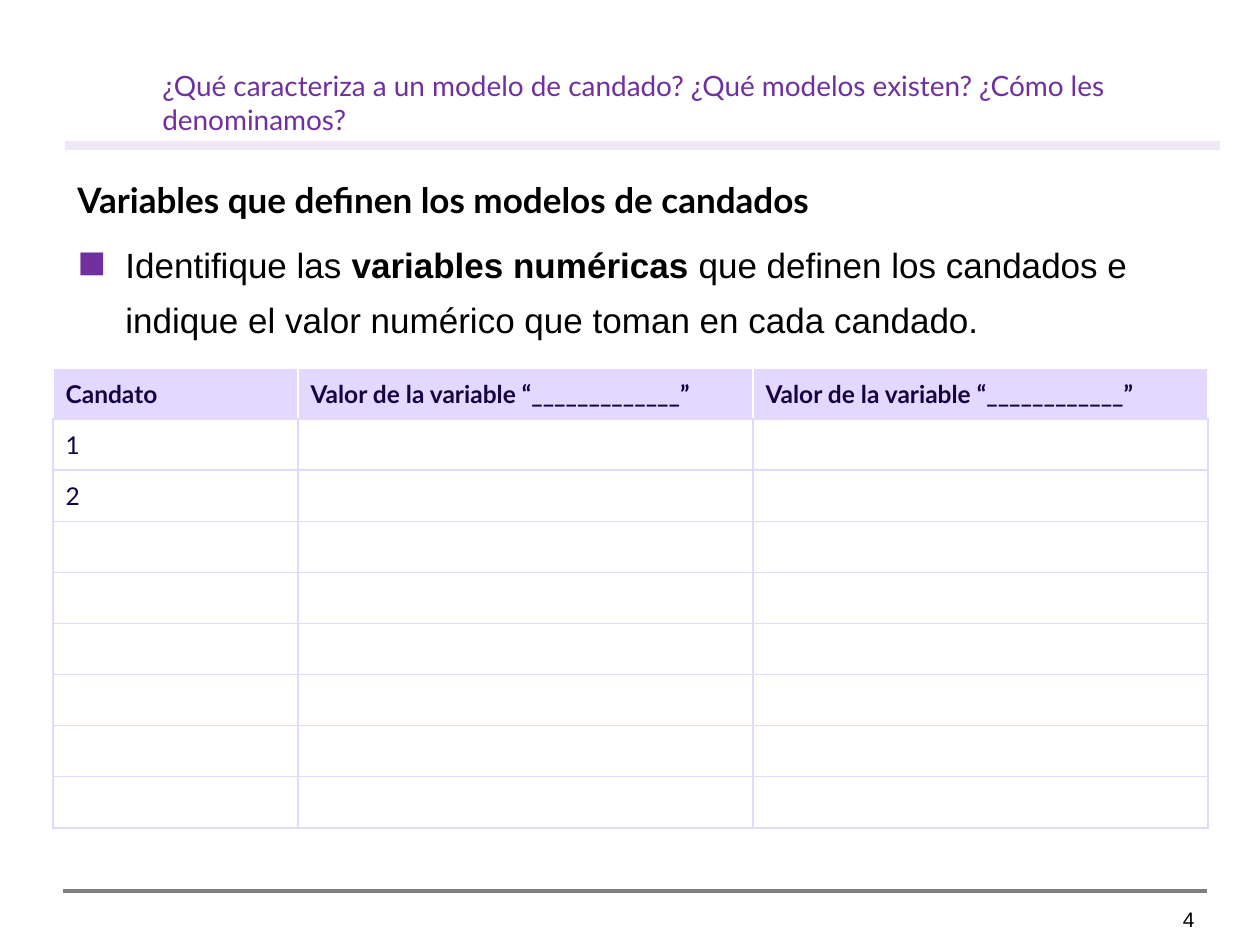
import pptx
import pptx.dml.color
import pptx.enum.shapes
import pptx.enum.text
import pptx.oxml.ns
import pptx.util
from lxml import etree

RGBColor = pptx.dml.color.RGBColor
ALIGN = pptx.enum.text.PP_ALIGN
ANCHOR = pptx.enum.text.MSO_ANCHOR
qn = pptx.oxml.ns.qn

PURPLE = RGBColor(0x70, 0x30, 0xA0)
LILAC = RGBColor(0xE3, 0xD8, 0xFD)
INDIGO = RGBColor(0x15, 0x03, 0x43)
GRAY = RGBColor(0x7F, 0x7F, 0x7F)
BLACK = RGBColor(0, 0, 0)
WHITE = RGBColor(0xFF, 0xFF, 0xFF)

EMU_PER_PX = 914400 / 126


def px(length):
    return pptx.util.Emu(round(length * EMU_PER_PX))


def add_color(parent, color, alpha=None):
    node = etree.SubElement(parent, qn("a:srgbClr"), val=str(color))
    if alpha is not None:
        etree.SubElement(node, qn("a:alpha"), val=str(alpha * 1000))


def write(para, text, font="Lato", size=14, color=BLACK, bold=False):
    span = para.add_run()
    span.text = text
    span.font.name = font
    span.font.size = pptx.util.Pt(size)
    span.font.color.rgb = color
    span.font.bold = bold


def add_box(page, left, top, width, height, anchor=ANCHOR.TOP):
    box = page.shapes.add_textbox(px(left), px(top), px(width), px(height))
    box.text_frame.word_wrap = True
    box.text_frame.vertical_anchor = anchor
    return box.text_frame


def add_bullet(para, indent):
    props = para._p.get_or_add_pPr()
    props.set("marL", str(px(indent)))
    props.set("indent", str(px(-indent)))
    add_color(etree.SubElement(props, qn("a:buClr")), PURPLE)
    etree.SubElement(props, qn("a:buChar"), char="◼")


def add_header(page, left, top, width, height):
    """Title, indented from the left, above a translucent bar."""
    title = add_box(page, left + 85, top, width - 85, height - 8, ANCHOR.BOTTOM)
    write(title.paragraphs[0],
          "¿Qué caracteriza a un modelo de candado? ¿Qué modelos existen? "
          "¿Cómo les denominamos?", size=16, color=PURPLE)
    bar = page.shapes.add_shape(pptx.enum.shapes.MSO_SHAPE.RECTANGLE,
                                px(left), px(top + height - 9), px(width), px(9))
    bar.shadow.inherit = False
    bar.line.fill.background()
    bar.fill.solid()
    bar.fill.fore_color.rgb = PURPLE
    fill = bar._element.spPr.find(qn("a:solidFill"))
    fill.clear()
    add_color(fill, PURPLE, alpha=10)


def add_body(page, left, top, width, height):
    body = add_box(page, left, top, width, height)
    heading, task = body.paragraphs[0], body.add_paragraph()
    heading.line_spacing = task.line_spacing = 1.3
    write(heading, "Variables que definen los modelos de candados", size=20, bold=True)
    task.space_before = pptx.util.Pt(6)
    add_bullet(task, 48)
    for text, bold in (
        ("Identifique las ", False),
        ("variables numéricas ", True),
        ("que definen los candados e indique el valor numérico "
         "que toman en cada candado.", False),
    ):
        write(task, text, font="Arial", size=20, bold=bold)


def format_cell(cell, fill, edge):
    """Give the cell a fill, lilac at the bottom and the edge colour elsewhere."""
    props = cell._tc.get_or_add_tcPr()
    for side, color in (("L", edge), ("R", edge), ("T", edge), ("B", LILAC)):
        line = etree.SubElement(props, qn(f"a:ln{side}"), w=str(pptx.util.Pt(1)))
        add_color(etree.SubElement(line, qn("a:solidFill")), color)
    cell.fill.solid()
    cell.fill.fore_color.rgb = fill
    cell.vertical_anchor = ANCHOR.MIDDLE


def add_value_table(page, left, top, width, height):
    header = ("Candato", "Valor de la variable “_____________”",
              "Valor de la variable “____________”")
    numbers = ("1", "2")
    row_count = 9
    table = page.shapes.add_table(row_count, len(header), px(left), px(top),
                                  px(width), px(height)).table
    first_width = 245
    for index, column in enumerate(table.columns):
        column.width = px((width - first_width) / 2 if index else first_width)
    for index, row in enumerate(table.rows):
        row.height = px(height / row_count)
        is_header = index == 0
        for cell in row.cells:
            format_cell(cell, LILAC if is_header else WHITE,
                        WHITE if is_header else LILAC)
    for column, text in enumerate(header):
        write(table.cell(0, column).text_frame.paragraphs[0], text,
              color=INDIGO, bold=True)
    for row, text in enumerate(numbers, start=1):
        write(table.cell(row, 0).text_frame.paragraphs[0], text, color=INDIGO)


def add_footer(page, left, top, width, height):
    """Rule with the page number below its right end."""
    right = left + width
    rule = page.shapes.add_connector(pptx.enum.shapes.MSO_CONNECTOR.STRAIGHT,
                                     px(left), px(top), px(right), px(top))
    rule.line.color.rgb = GRAY
    rule.line.width = pptx.util.Pt(2)
    etree.SubElement(rule._element.spPr, qn("a:effectLst"))
    number = add_box(page, right - 97, top + 9, 97, height - 9).paragraphs[0]
    number.alignment = ALIGN.RIGHT
    write(number, "4", font="Arial", size=12)


def main():
    deck = pptx.Presentation()
    deck.slide_width, deck.slide_height = px(1260), px(945)
    page = deck.slides.add_slide(deck.slide_layouts[6])
    add_header(page, 65, 50, 1155, 100)
    add_body(page, 65, 160, 1156, 718)
    add_value_table(page, 53, 368, 1155, 460)
    add_footer(page, 63, 891, 1144, 47)
    deck.save("out.pptx")


if __name__ == "__main__":
    main()
